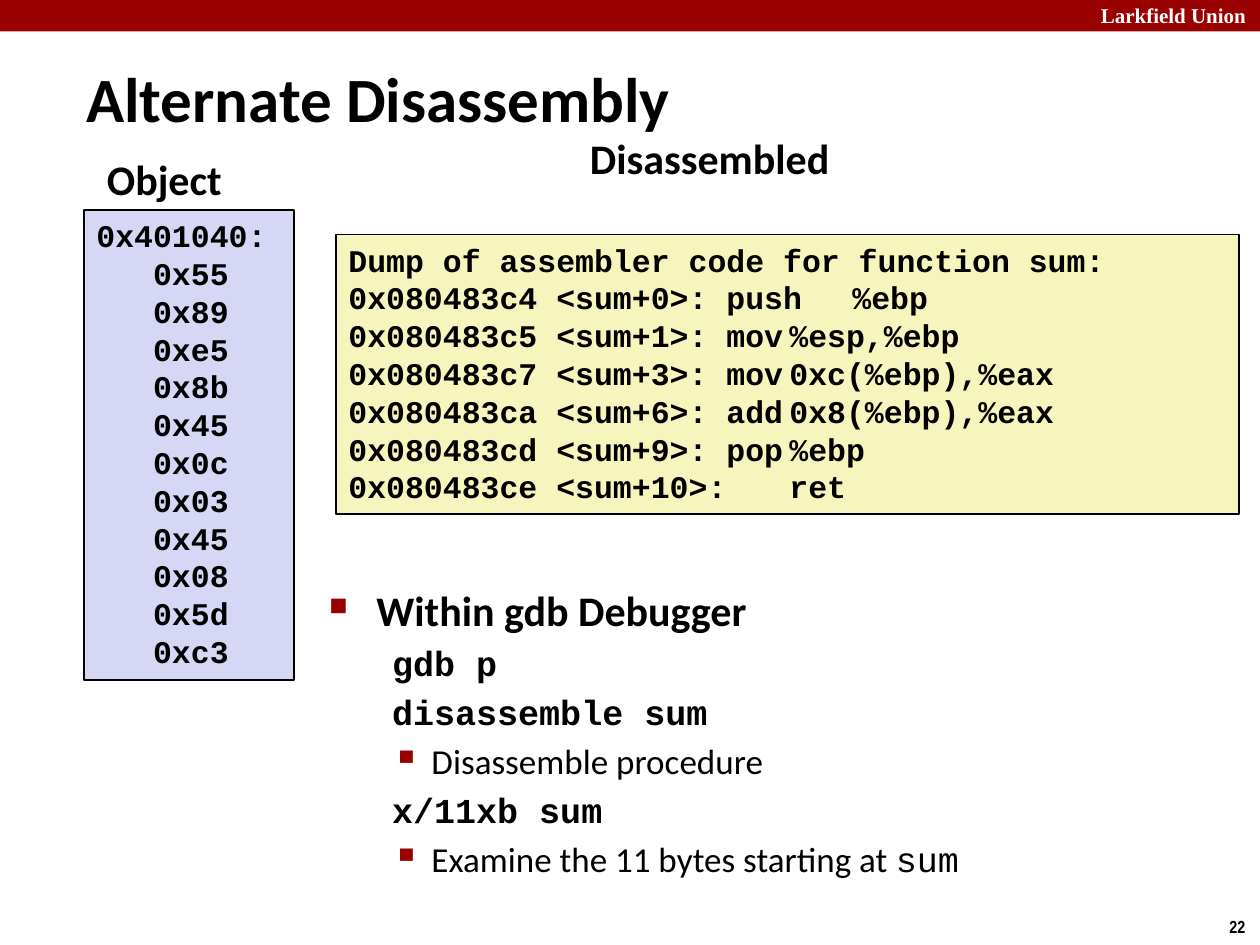
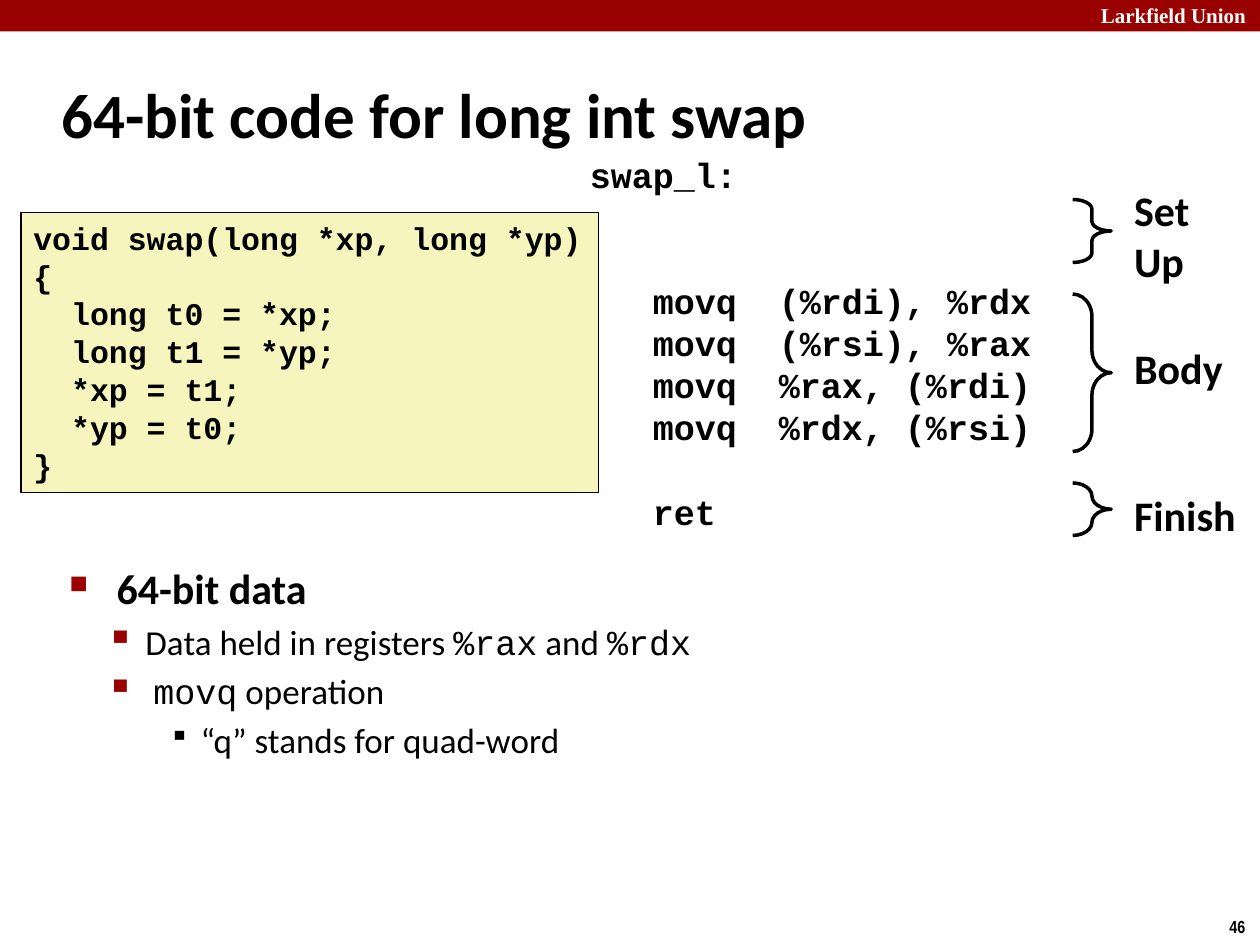
from lxml.etree import SubElement
from pptx import Presentation
from pptx.dml.color import RGBColor
from pptx.enum.shapes import MSO_SHAPE as SHAPE
from pptx.enum.text import MSO_ANCHOR as ANCHOR, MSO_AUTO_SIZE as FIT, PP_ALIGN as ALIGN
from pptx.oxml.ns import qn
from pptx.util import Pt

RED, BLACK, WHITE = "990000", "000000", "FFFFFF"
YELLOW, LILAC = "F6F5BD", "D6D6F5"
SANS, MONO = "Calibri", "Courier New"
CHAR = 0.6  # width of a monospaced character, in ems


def color(hex_code):
    return RGBColor.from_string(hex_code)


def add_text(tf, runs, size=20, font=SANS, bold=True, fill=BLACK,
             left=0, first=0, before=0, bullet=None, tabs=()):
    """Add a paragraph; runs is a string or a list of (text, font) pairs."""
    p = tf.paragraphs[0]
    if p.runs:
        p = tf.add_paragraph()
    p.alignment = ALIGN.LEFT
    p.space_before = Pt(before)
    pPr = p._p.get_or_add_pPr()
    pPr.set("marL", str(Pt(left)))
    pPr.set("indent", str(Pt(first)))
    if bullet:
        char, percent, tint = bullet
        SubElement(SubElement(pPr, qn("a:buClr")), qn("a:srgbClr"), val=tint)
        SubElement(pPr, qn("a:buSzPct"), val=str(percent * 1000))
        SubElement(pPr, qn("a:buChar"), char=char)
    if tabs:
        stops = SubElement(pPr, qn("a:tabLst"))
        for pos in tabs:
            SubElement(stops, qn("a:tab"), pos=str(Pt(pos)), algn="l")
    for text, name in [(runs, font)] if isinstance(runs, str) else runs:
        r = p.add_run()
        r.text = text
        r.font.name, r.font.size, r.font.bold = name, Pt(size), bold
        r.font.color.rgb = color(fill)


class Deck:
    """Style of the lecture and the slide being built."""

    def __init__(self):
        self.prs = Presentation()
        self.prs.slide_width, self.prs.slide_height = Pt(720), Pt(540)
        self.s = None

    def slide(self, title, number, box):
        self.s = self.prs.slides.add_slide(self.prs.slide_layouts[5])
        # Band and page number
        self.shape(SHAPE.RECTANGLE, (0, 0, 720, 18), fill=RED)
        self.label("Larkfield Union", (622, -2, 103, 22), size=12,
                   font="Times New Roman", fill=WHITE)
        self.label(str(number), (695.5, 520, 24.5, 19), wrap=False, size=10,
                   font="Arial Narrow")
        # Title
        sp = self.s.shapes.title
        sp.left, sp.top, sp.width, sp.height = map(Pt, box)
        tf = sp.text_frame
        tf.auto_size, tf.vertical_anchor = FIT.NONE, ANCHOR.MIDDLE
        add_text(tf, title, size=36, left=9, first=-9)

    def shape(self, kind, box, fill=None, line=None, weight=1):
        sp = self.s.shapes.add_shape(kind, *map(Pt, box))
        sp.shadow.inherit = False
        if fill:
            sp.fill.solid()
            sp.fill.fore_color.rgb = color(fill)
        else:
            sp.fill.background()
        if line:
            sp.line.color.rgb = color(line)
            sp.line.width = Pt(weight)
        else:
            sp.line.fill.background()
        return sp

    def text_box(self, box, wrap=True):
        tf = self.s.shapes.add_textbox(*map(Pt, box)).text_frame
        tf.word_wrap = wrap
        return tf

    def label(self, text, box, wrap=True, size=24, **fmt):
        tf = self.text_box(box, wrap)
        for line in text.split("\n"):
            add_text(tf, line, size=size, **fmt)

    def code_box(self, box, fill):
        tf = self.shape(SHAPE.RECTANGLE, box, fill, BLACK).text_frame
        tf.word_wrap, tf.vertical_anchor = True, ANCHOR.TOP
        return tf

    def code(self, tf, lines, size=18, **fmt):
        for line in lines:
            add_text(tf, line, size=size, font=MONO, **fmt)

    def heading(self, tf, text):
        add_text(tf, text, size=24, left=27, first=-27, bullet=("■", 60, RED))

    def point(self, tf, runs, left):
        add_text(tf, runs, bold=False, left=left, first=-22.5, before=4,
                 bullet=("▪", 110, RED))

    def brace(self, name, top, height, bend, name_box):
        sp = self.shape(SHAPE.RIGHT_BRACE, (613, top, 22, height), None, BLACK, 2)
        sp.adjustments[0] = bend
        self.label(name, (641, *name_box), wrap=False)


def disassembly_slide(deck):
    deck.slide("Alternate Disassembly", 22, (42, 33, 492, 45))

    # Disassembled listing
    deck.label("Disassembled", (330, 72, 205, 32))
    tf = deck.code_box((192, 134, 516, 160), YELLOW)
    deck.code(tf, ["Dump of assembler code for function sum:"])
    listing = [("c4", 0, "push\t%ebp"), ("c5", 1, "mov\t%esp,%ebp"),
               ("c7", 3, "mov\t0xc(%ebp),%eax"), ("ca", 6, "add\t0x8(%ebp),%eax"),
               ("cd", 9, "pop\t%ebp"), ("ce", 10, "ret")]
    deck.code(tf, [f"0x080483{low} <sum+{offset}>:\t{op}" for low, offset, op in listing],
              tabs=[n * CHAR * 18 for n in (24, 31)])

    # Debugger commands
    tf = deck.text_box((181, 330.5, 496, 177))
    deck.heading(tf, "Within gdb Debugger")
    command = dict(size=20, left=58.5, first=-22.5, before=4)
    deck.code(tf, ["gdb p", "disassemble sum"], **command)
    deck.point(tf, "Disassemble procedure", 58.5)
    deck.code(tf, ["x/11xb sum"], **command)
    deck.point(tf, [("Examine the 11 bytes starting at ", SANS), ("sum", MONO)], 58.5)

    # Object bytes
    deck.label("Object", (54, 84, 103, 32))
    tf = deck.code_box((48, 120, 120, 268.5), LILAC)
    deck.code(tf, ["0x401040:"])
    object_bytes = "55 89 e5 8b 45 0c 03 45 08 5d c3".split()
    deck.code(tf, [f"0x{b}" for b in object_bytes], left=3 * CHAR * 18)


def swap_slide(deck):
    deck.slide("64-bit code for long int swap", 46, (28, 34.5, 598, 60))

    # Notes on the data size
    tf = deck.text_box((32.5, 318, 622, 141))
    deck.heading(tf, "64-bit data")
    deck.point(tf, [("Data held in registers ", SANS), ("%rax", MONO),
                    (" and ", SANS), ("%rdx", MONO)], 43.5)
    deck.point(tf, [(" ", SANS), ("movq", MONO), (" operation", SANS)], 43.5)
    add_text(tf, "“q” stands for quad-word", bold=False, left=75, first=-18,
             before=4, bullet=("▪", 80, BLACK))

    # C source
    tf = deck.code_box((12, 121.5, 330, 160), YELLOW)
    deck.code(tf, ["void swap(long *xp, long *yp)", "{", "  long t0 = *xp;",
                   "  long t1 = *yp;", "  *xp = t1;", "  *yp = t0;", "}"])

    # Parts of the procedure
    deck.brace("Body", 168, 90, 0.585, (192, 65.5, 36))
    deck.brace("Set\nUp", 114, 36, 0.25, (102, 47, 65.5))
    deck.brace("Finish", 276, 30, 0.36, (276, 73.5, 36))

    # Assembly
    tf = deck.text_box((330, 84, 330, 225))
    row = 24.2
    asm = dict(size=20, tabs=(27.5, 27.5 + 8 * CHAR * 20))
    moves = ["(%rdi), %rdx", "(%rsi), %rax", "%rax, (%rdi)", "%rdx, (%rsi)"]
    first, *rest = [f"\tmovq\t{args}" for args in moves]
    deck.code(tf, ["swap_l:"], **asm)
    deck.code(tf, [first], before=2 * row, **asm)
    deck.code(tf, rest, **asm)
    deck.code(tf, ["\tret"], before=row, **asm)


def main():
    deck = Deck()
    disassembly_slide(deck)
    swap_slide(deck)
    deck.prs.save("out.pptx")


if __name__ == "__main__":
    main()
